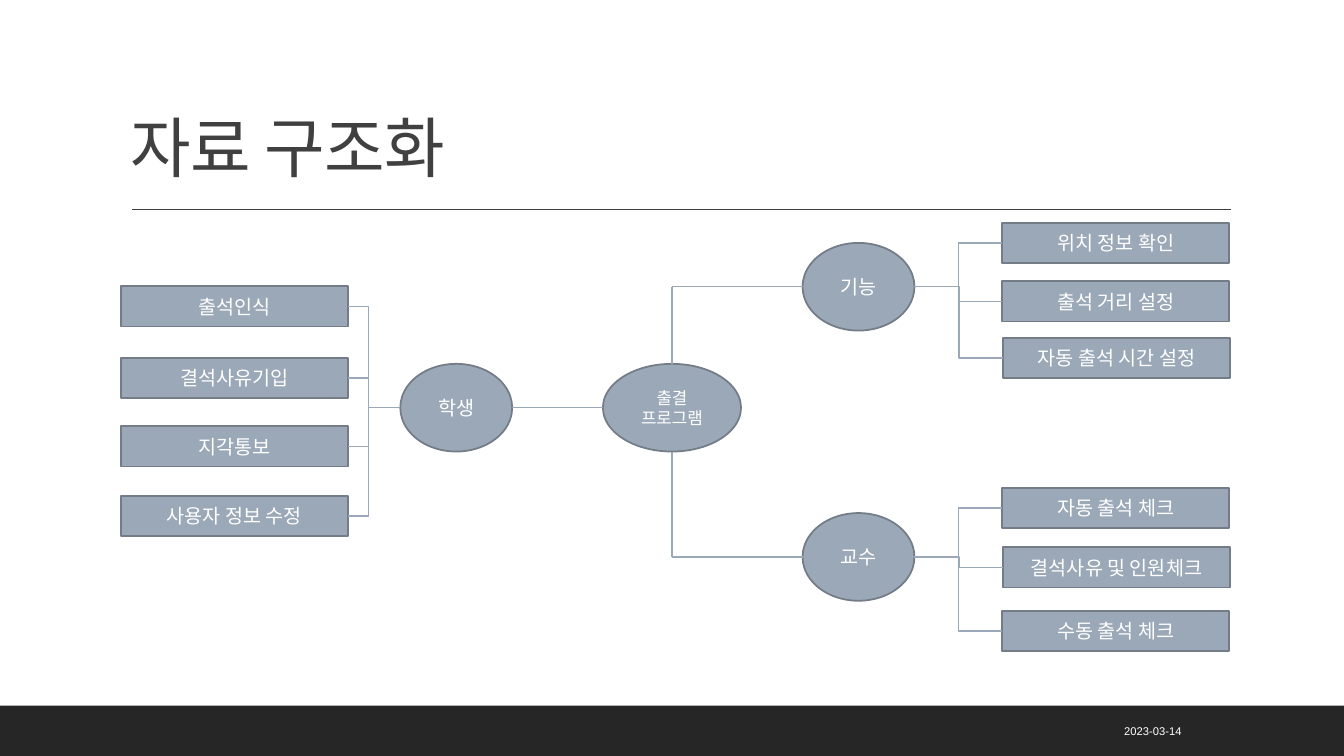
"""Build the attendance program structure slide."""
from lxml.etree import SubElement
from pptx import Presentation
from pptx.dml.color import RGBColor
from pptx.enum.shapes import MSO_CONNECTOR, MSO_SHAPE
from pptx.enum.text import MSO_ANCHOR, PP_ALIGN
from pptx.oxml.ns import qn
from pptx.util import Inches, Pt

TITLE = "자료 구조화"
DATE = "2023-03-14"
ROOT = ("출결 프로그램", 5.98, 3.61)
BRANCHES = [
    {"hub": ("교수", 7.96, 5.09), "bend": 0.5, "leaves": [
        ("자동 출석 체크", 9.94, 4.84),
        ("결석사유 및 인원체크", 9.95, 5.43),
        ("수동 출석 체크", 9.94, 6.06)]},
    {"hub": ("학생", 3.97, 3.61), "bend": 0.61, "leaves": [
        ("출석인식", 1.2, 2.84),
        ("결석사유기입", 1.2, 3.55),
        ("지각통보", 1.2, 4.23),
        ("사용자 정보 수정", 1.2, 4.92)]},
    {"hub": ("기능", 7.96, 2.41), "bend": 0.5, "leaves": [
        ("위치 정보 확인", 9.94, 2.21),
        ("출석 거리 설정", 9.94, 2.79),
        ("자동 출석 시간 설정", 9.95, 3.35)]},
]
ROOT_WIDTH, HUB_WIDTH, OVAL_HEIGHT = 1.37, 1.11, 0.87
LEAF_WIDTH, LEAF_HEIGHT = 2.25, 0.4
NODE_FILL, NODE_EDGE, DARK, BAND, WHITE = "9BA8B7", "737C87", "404040", "262626", "FFFFFF"

prs = Presentation()
prs.slide_width, prs.slide_height = Inches(13.33), Inches(7.5)
slide = prs.slides.add_slide(prs.slide_layouts[6])


def color(hex_code):
    return RGBColor.from_string(hex_code)


def write(holder, text, size, font="Lato", ink=WHITE, align=PP_ALIGN.CENTER,
          anchor=MSO_ANCHOR.MIDDLE, line_spacing=None, tracking=None):
    frame = holder.text_frame
    frame.word_wrap = True
    frame.vertical_anchor = anchor
    paragraph = frame.paragraphs[0]
    paragraph.alignment = align
    paragraph.line_spacing = line_spacing
    run = paragraph.add_run()
    run.text = text
    run.font.name, run.font.size = font, Pt(size)
    run.font.color.rgb = color(ink)
    if tracking:
        run.font._element.set("spc", str(tracking))


def text_box(text, left, top, width, height, **style):
    box = slide.shapes.add_textbox(Inches(left), Inches(top), Inches(width), Inches(height))
    write(box, text, **style)


def block(kind, left, top, width, height, fill, edge=None):
    shape = slide.shapes.add_shape(
        kind, Inches(left), Inches(top), Inches(width), Inches(height))
    shape.shadow.inherit = False
    shape.fill.solid()
    shape.fill.fore_color.rgb = color(fill)
    if edge:
        shape.line.color.rgb = color(edge)
        shape.line.width = Pt(1.25)
    else:
        shape.line.fill.background()
    return shape


def link(start, end, ink=NODE_FILL, bend=None):
    kind = MSO_CONNECTOR.ELBOW if bend else MSO_CONNECTOR.STRAIGHT
    connector = slide.shapes.add_connector(kind, *map(Inches, start + end))
    connector.line.color.rgb = color(ink)
    connector.line.width = Pt(1)
    properties = connector._element.spPr
    SubElement(properties, qn("a:effectLst"))
    if bend:
        adjustments = properties.find(qn("a:prstGeom")).get_or_add_avLst()
        SubElement(adjustments, qn("a:gd"), name="adj1", fmla=f"val {round(bend * 100000)}")


def oval(node, width, size):
    text, left, top = node
    write(block(MSO_SHAPE.OVAL, left, top, width, OVAL_HEIGHT, NODE_FILL, NODE_EDGE), text, size)


block(MSO_SHAPE.RECTANGLE, 0, 7, 13.33, 0.5, BAND)
link((1.31, 2.08), (12.21, 2.08), ink=DARK)
text_box(TITLE, 1.2, 0.31, 11, 1.59, size=47, font="Arial", ink=DARK, align=PP_ALIGN.LEFT,
         anchor=MSO_ANCHOR.BOTTOM, line_spacing=0.9, tracking=-50)
text_box(DATE, 8.99, 7.05, 2.83, 0.4, size=8, font="Arial", align=PP_ALIGN.RIGHT)

oval(ROOT, ROOT_WIDTH, 12)
for branch in BRANCHES:
    oval(branch["hub"], HUB_WIDTH, 14)
    for text, left, top in branch["leaves"]:
        leaf = block(MSO_SHAPE.RECTANGLE, left, top, LEAF_WIDTH, LEAF_HEIGHT,
                     NODE_FILL, NODE_EDGE)
        write(leaf, text, 14)

_, root_left, root_top = ROOT
root_x = root_left + ROOT_WIDTH / 2
for branch in BRANCHES:
    _, hub_left, hub_top = branch["hub"]
    hub_y = hub_top + OVAL_HEIGHT / 2
    on_right = hub_left > root_left
    outer_x = hub_left + HUB_WIDTH if on_right else hub_left
    if on_right:
        root_edge = root_top + OVAL_HEIGHT if hub_top > root_top else root_top
        link((root_x, root_edge), (root_x, hub_y))
        link((root_x, hub_y), (hub_left, hub_y))
    else:
        link((hub_left + HUB_WIDTH, hub_y), (root_left, hub_y))
    for _, leaf_left, leaf_top in branch["leaves"]:
        leaf_x = leaf_left if on_right else leaf_left + LEAF_WIDTH
        link((outer_x, hub_y), (leaf_x, leaf_top + LEAF_HEIGHT / 2), bend=branch["bend"])

prs.save("out.pptx")
